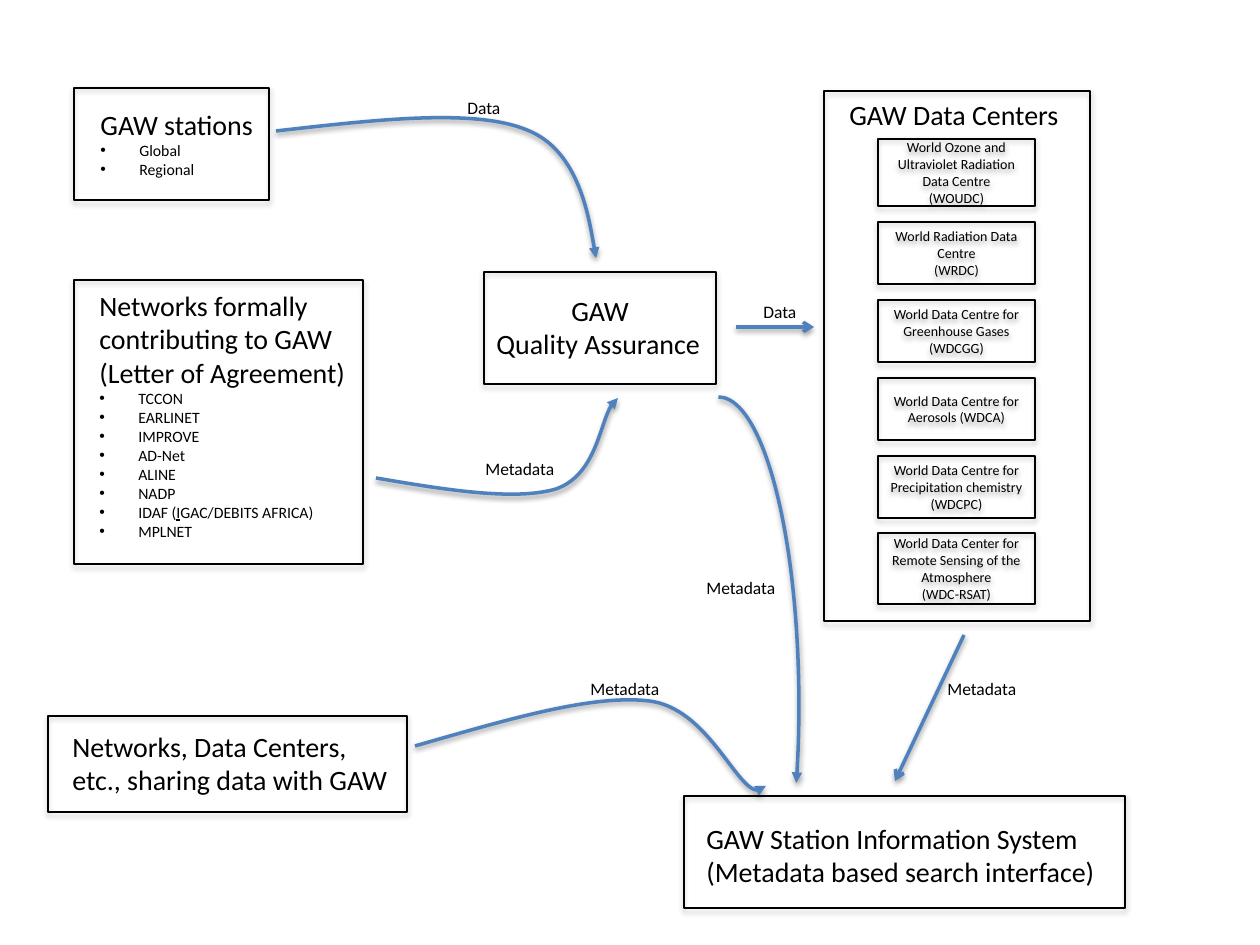
from lxml.etree import SubElement
from pptx import Presentation
from pptx.dml.color import RGBColor
from pptx.enum.shapes import MSO_CONNECTOR as Link, MSO_SHAPE as Shape
from pptx.enum.text import MSO_ANCHOR as Anchor, MSO_AUTO_SIZE as Fit, PP_ALIGN as Align
from pptx.oxml.ns import qn
from pptx.util import Pt

PX = 914400 / 126
HEADING, ITEM, CENTRE, LABEL = 16, 9, 8, 10


def px(*lengths):
    return [round(length * PX) for length in lengths]


def color(value):
    return RGBColor.from_string(value)


def apply(target, values):
    for name, value in values.items():
        setattr(target, name, value)


class Diagram:
    """Draws the boxes, texts and arrows of a flow diagram on one slide."""

    font, ink, accent = "Calibri", "000000", "4F81BD"
    frame_shadow = {"blurRad": 40000, "dist": 23000, "alpha": 35000}
    arrow_shadow = {"blurRad": 40000, "dist": 20000, "alpha": 38000}

    def __init__(self, page):
        self.page = page
        self.shapes = page.shapes

    def group(self):
        self.shapes = self.page.shapes.add_group_shape().shapes

    def ungroup(self):
        self.shapes = self.page.shapes

    def outline(self, shape, stroke, width, shadow, head=None):
        apply(shape.line, {"width": Pt(width)})
        shape.line.color.rgb = color(stroke)
        properties = shape.element.spPr
        if head:
            SubElement(properties.find(qn("a:ln")), qn("a:tailEnd"), type=head)
        effects = SubElement(properties, qn("a:effectLst"))
        outer = SubElement(effects, qn("a:outerShdw"), blurRad=str(shadow["blurRad"]),
                           dist=str(shadow["dist"]), dir="5400000", rotWithShape="0")
        tint = SubElement(outer, qn("a:srgbClr"), val="000000")
        SubElement(tint, qn("a:alpha"), val=str(shadow["alpha"]))

    def add_lines(self, frame, lines, size, align=Align.LEFT, bullet=False, start=0):
        for index, line in enumerate(lines, start):
            para = frame.add_paragraph() if index else frame.paragraphs[0]
            para.alignment = align
            if bullet:
                indent, = px(39)
                settings = para._p.get_or_add_pPr()
                settings.set("marL", str(indent))
                settings.set("indent", str(-indent))
                SubElement(settings, qn("a:buFont"), typeface="Arial")
                SubElement(settings, qn("a:buChar"), char="•")
            for part, text in enumerate(line.split("_")):
                span = para.add_run()
                span.text = text
                underline = True if part % 2 else None
                apply(span.font, {"name": self.font, "size": Pt(size), "underline": underline})
                span.font.color.rgb = color(self.ink)

    def box(self, place, lines=()):
        box = self.shapes.add_shape(Shape.RECTANGLE, *px(*place))
        box.fill.background()
        self.outline(box, self.ink, 0.75, self.frame_shadow)
        apply(box.text_frame, {"word_wrap": True, "vertical_anchor": Anchor.MIDDLE})
        self.add_lines(box.text_frame, lines, CENTRE, Align.CENTER)

    def text(self, place, lines, size=HEADING, items=()):
        frame = self.shapes.add_textbox(*px(*place)).text_frame
        apply(frame, {"word_wrap": False, "auto_size": Fit.SHAPE_TO_FIT_TEXT})
        self.add_lines(frame, lines, size)
        self.add_lines(frame, items, ITEM, bullet=True, start=len(lines))
        return frame

    def arrow(self, start, end):
        arrow = self.shapes.add_connector(Link.STRAIGHT, *px(*start, *end))
        self.outline(arrow, self.accent, 2, self.arrow_shadow, "arrow")

    def curve(self, start, corners, bends):
        builder = self.shapes.build_freeform(*start, scale=PX)
        builder.add_line_segments(corners, close=False)
        curve = builder.convert_to_shape()
        outline = curve.element.spPr.find(".//" + qn("a:path"))
        for segment in outline.findall(qn("a:lnTo")):
            outline.remove(segment)
        left, top = corners[0]
        for bend in bends:
            bezier = SubElement(outline, qn("a:cubicBezTo"))
            for x, y in bend:
                SubElement(bezier, qn("a:pt"), x=str(x - left), y=str(y - top))
        curve.fill.background()
        self.outline(curve, self.accent, 2, self.arrow_shadow, "triangle")

    def arc(self, place, angles):
        arc = self.shapes.add_shape(Shape.ARC, *px(*place))
        for index, angle in enumerate(angles):
            arc.adjustments[index] = angle * 0.6
        arc.fill.background()
        self.outline(arc, self.accent, 2, self.arrow_shadow, "triangle")


CENTRES = [
    ["World Ozone and Ultraviolet Radiation Data Centre", "(WOUDC)"],
    ["World Radiation Data Centre", "(WRDC)"],
    ["World Data Centre for Greenhouse Gases (WDCGG)"],
    ["World Data Centre for Aerosols (WDCA)"],
    ["World Data Centre for Precipitation chemistry (WDCPC)"],
    ["World Data Center for Remote Sensing of the Atmosphere", "(WDC-RSAT)"],
]
CENTRE_ROWS = [(139, 67), *((222 + 78 * row, 62) for row in range(4)), (533, 71)]
NETWORKS = ["TCCON", "EARLINET", "IMPROVE", "AD-Net", "ALINE", "NADP",
            "IDAF (_I_GAC/DEBITS AFRICA)", "MPLNET"]
PANELS = [
    ((74, 280, 289, 284), (87, 282, 276, 267),
     ["Networks formally", "contributing to GAW", "(Letter of Agreement)"], NETWORKS),
    ((74, 88, 195, 112), (88, 101, 181, 84), ["GAW stations"], ["Global", "Regional"]),
    ((484, 272, 232, 112), (484, 287, 232, 100), ["GAW", "Quality Assurance"], []),
    ((684, 796, 441, 112), (694, 815, 420, 81),
     ["GAW Station Information System", "(Metadata based search interface)"], []),
    ((48, 716, 359, 96), (60, 723, 347, 81),
     ["Networks, Data Centers,", "etc., sharing data with GAW"], []),
]
CURVES = [
    ((276, 131), [(276, 117), (596, 258)],
     [[(374, 120), (474, 108), (527, 130)], [(581, 151), (596, 258), (596, 258)]]),
    ((376, 478), [(376, 398), (618, 494)],
     [[(446, 490), (515, 501), (556, 489)], [(596, 475), (602, 406), (618, 398)]]),
    ((415, 746), [(415, 699), (766, 790)],
     [[(503, 721), (591, 694), (649, 701)], [(708, 708), (745, 813), (766, 786)]]),
]
LABELS = {
    "Data": (59, [(455, 91), (751, 295)]),
    "Metadata": (96, [(473, 452), (578, 672), (935, 672), (694, 571)]),
}


def main():
    deck = Presentation()
    deck.slide_width, deck.slide_height = px(1260, 945)
    diagram = Diagram(deck.slides.add_slide(deck.slide_layouts[6]))

    diagram.group()
    for (top, height), lines in zip(CENTRE_ROWS, CENTRES):
        diagram.box((878, top, 157, height), lines)
    diagram.box((824, 91, 266, 530))
    diagram.text((837, 91, 239, 47), ["GAW Data Centers"])

    for place, text_place, heading, items in PANELS:
        diagram.group()
        diagram.box(place)
        frame = diagram.text(text_place, heading, items=items)
        if heading[0] == "GAW":
            frame.paragraphs[0].alignment = Align.CENTER

    diagram.ungroup()
    for start, corners, bends in CURVES:
        diagram.curve(start, corners, bends)
    diagram.arrow((736, 327), (814, 327))
    diagram.arrow((964, 635), (895, 781))
    diagram.arc((638, 397, 161, 616), (270, 45.04))
    for label, (width, places) in LABELS.items():
        for left, top in places:
            diagram.text((left, top, width, 34), [label], LABEL)

    deck.save("out.pptx")


if __name__ == "__main__":
    main()
